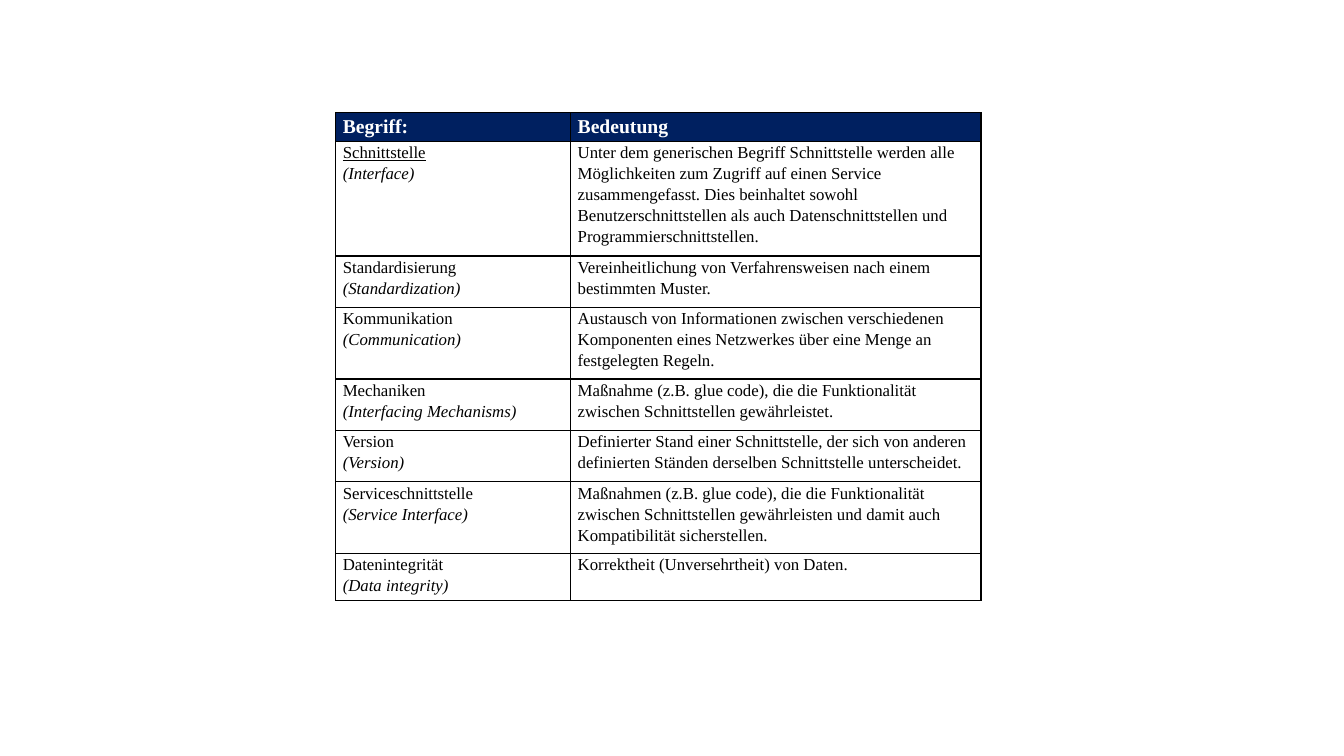
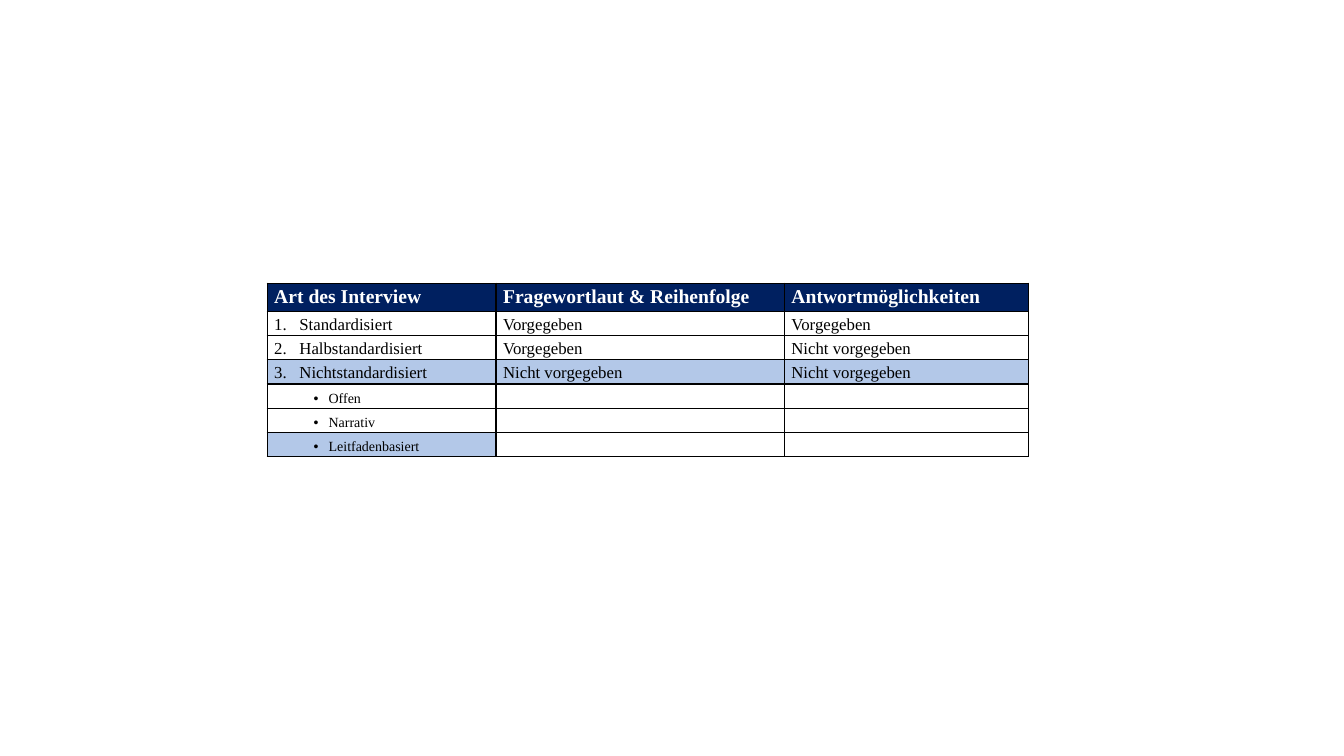
from dataclasses import dataclass

from lxml.etree import SubElement
from pptx import Presentation
from pptx.dml.color import RGBColor
from pptx.enum.text import MSO_ANCHOR, PP_ALIGN
from pptx.oxml.ns import qn
from pptx.util import Inches, Pt

COLOURS = {
    "header": "002060",
    "highlight": "B3C8E8",
    "paper": "FFFFFF",
    "ink": "000000",
}
FONT = "Times New Roman"

TERMS = [
    ("Schnittstelle", "(Interface)",
     "Unter dem generischen Begriff Schnittstelle werden alle Möglichkeiten zum Zugriff auf "
     "einen Service zusammengefasst. Dies beinhaltet sowohl Benutzerschnittstellen als auch "
     "Datenschnittstellen und Programmierschnittstellen."),
    ("Standardisierung", "(Standardization)",
     "Vereinheitlichung von Verfahrensweisen nach einem bestimmten Muster."),
    ("Kommunikation", "(Communication)",
     "Austausch von Informationen zwischen verschiedenen Komponenten eines Netzwerkes über "
     "eine Menge an festgelegten Regeln."),
    ("Mechaniken", "(Interfacing Mechanisms)",
     "Maßnahme (z.B. glue code), die die Funktionalität zwischen Schnittstellen gewährleistet."),
    ("Version", "(Version)",
     "Definierter Stand einer Schnittstelle, der sich von anderen definierten Ständen "
     "derselben Schnittstelle unterscheidet."),
    ("Serviceschnittstelle", "(Service Interface)",
     "Maßnahmen (z.B. glue code), die die Funktionalität zwischen Schnittstellen "
     "gewährleisten und damit auch Kompatibilität sicherstellen."),
    ("Datenintegrität", "(Data integrity)", "Korrektheit (Unversehrtheit) von Daten."),
]
INTERVIEWS = [
    ("Standardisiert", "Vorgegeben", "Vorgegeben"),
    ("Halbstandardisiert", "Vorgegeben", "Nicht vorgegeben"),
    ("Nichtstandardisiert", "Nicht vorgegeben", "Nicht vorgegeben"),
]
OPEN_FORMS = ["Offen", "Narrativ", "Leitfadenbasiert"]


@dataclass
class Line:
    """One paragraph of a table cell."""
    text: str
    size: int = 12
    bold: bool = False
    italic: bool = False
    underline: bool = False
    colour: str = "ink"
    alignment: PP_ALIGN = PP_ALIGN.LEFT
    number: int = 0
    bullet: bool = False


def set_marker(paragraph, line):
    """Give a paragraph its number or bullet with a hanging indent."""
    properties = paragraph._p.get_or_add_pPr()
    margin, hang = (0.25, 0.25) if line.number else (0.54, 0.15)
    properties.set("marL", str(Inches(margin)))
    properties.set("indent", str(-Inches(hang)))
    if line.number:
        SubElement(properties, qn("a:buAutoNum"), type="arabicPeriod", startAt=str(line.number))
    else:
        SubElement(properties, qn("a:buFont"), typeface="Arial")
        SubElement(properties, qn("a:buChar"), char="•")


def write_line(paragraph, line):
    """Write and format one paragraph."""
    paragraph.text = line.text
    if line.number or line.bullet:
        set_marker(paragraph, line)
    paragraph.alignment = line.alignment
    paragraph.line_spacing = Pt(15)
    font = paragraph.font
    font.name, font.size = FONT, Pt(line.size)
    font.bold, font.italic, font.underline = line.bold, line.italic, line.underline
    font.color.rgb = RGBColor.from_string(COLOURS[line.colour])


def set_borders(cell, top, bottom):
    """Draw the four borders of a cell, with widths in points."""
    properties = cell._tc.get_or_add_tcPr()
    for side, width in (("L", 1), ("R", 1), ("T", top), ("B", bottom)):
        border = SubElement(properties, qn(f"a:ln{side}"), w=str(Pt(width)))
        fill = SubElement(border, qn("a:solidFill"))
        SubElement(fill, qn("a:srgbClr"), val=COLOURS["ink"])


def fill_cell(cell, lines, fill, anchor, top, bottom):
    """Set the borders, fill, margins and text of a cell."""
    set_borders(cell, top, bottom)
    cell.fill.solid()
    cell.fill.fore_color.rgb = RGBColor.from_string(COLOURS[fill])
    cell.vertical_anchor = anchor
    cell.margin_left = cell.margin_right = Inches(0.07)
    cell.margin_top = cell.margin_bottom = 0
    frame = cell.text_frame
    for index, line in enumerate(lines):
        write_line(frame.add_paragraph() if index else frame.paragraphs[0], line)


def add_grid(page, left, top, widths, heights, rows, body_anchor, thick_below=None):
    """Add a table whose rows hold pairs of lines and fill name."""
    frame = page.shapes.add_table(len(rows), len(widths), Inches(left), Inches(top),
                                  Inches(sum(widths)), Inches(sum(heights)))
    table = frame.table
    table.first_row = table.horz_banding = False
    for column, width in zip(table.columns, widths):
        column.width = Inches(width)
    for index, (row, height, contents) in enumerate(zip(table.rows, heights, rows)):
        row.height = Inches(height)
        anchor = body_anchor if index else MSO_ANCHOR.MIDDLE
        above = 1.5 if index - 1 == thick_below else 1
        below = 1.5 if index == thick_below else 1
        for cell, (lines, fill) in zip(row.cells, contents):
            fill_cell(cell, lines, fill, anchor, above, below)


def header_row(titles, alignment=PP_ALIGN.LEFT):
    """Return the cells of a dark header row."""
    return [([Line(title, 14, bold=True, colour="paper", alignment=alignment)], "header")
            for title in titles]


def add_glossary(page):
    """Build the table of terms and meanings."""
    rows = [header_row(["Begriff:", "Bedeutung"], PP_ALIGN.JUSTIFY)]
    for index, (german, english, meaning) in enumerate(TERMS):
        term = [Line(german, underline=index == 0), Line(english, italic=True)]
        rows.append([(term, "paper"), ([Line(meaning)], "paper")])
    heights = [0.28, 1.14, 0.51, 0.71, 0.51, 0.51, 0.71, 0.47]
    add_grid(page, 3.33, 1.12, [2.33, 4.07], heights, rows, MSO_ANCHOR.TOP, thick_below=1)


def add_interview_types(page):
    """Build the comparison of interview types."""
    rows = [header_row(["Art des Interview", "Fragewortlaut & Reihenfolge",
                        "Antwortmöglichkeiten"])]
    for number, (kind, wording, answers) in enumerate(INTERVIEWS, 1):
        fill = "highlight" if kind == "Nichtstandardisiert" else "paper"
        lines = [Line(kind, number=number), Line(wording), Line(answers)]
        rows.append([([line], fill) for line in lines])
    for form in OPEN_FORMS:
        fill = "highlight" if form == "Leitfadenbasiert" else "paper"
        rows.append([([Line(form, 10, bullet=True)], fill)] + [([Line("", 10)], "paper")] * 2)
    heights = [0.28] + [0.24] * (len(rows) - 1)
    add_grid(page, 2.65, 2.81, [2.27, 2.86, 2.42], heights, rows, MSO_ANCHOR.MIDDLE)


def main():
    """Build and save the deck."""
    deck = Presentation()
    deck.slide_width, deck.slide_height = Inches(13.33), Inches(7.5)
    for build in (add_glossary, add_interview_types):
        build(deck.slides.add_slide(deck.slide_layouts[6]))
    deck.save("out.pptx")


if __name__ == "__main__":
    main()
